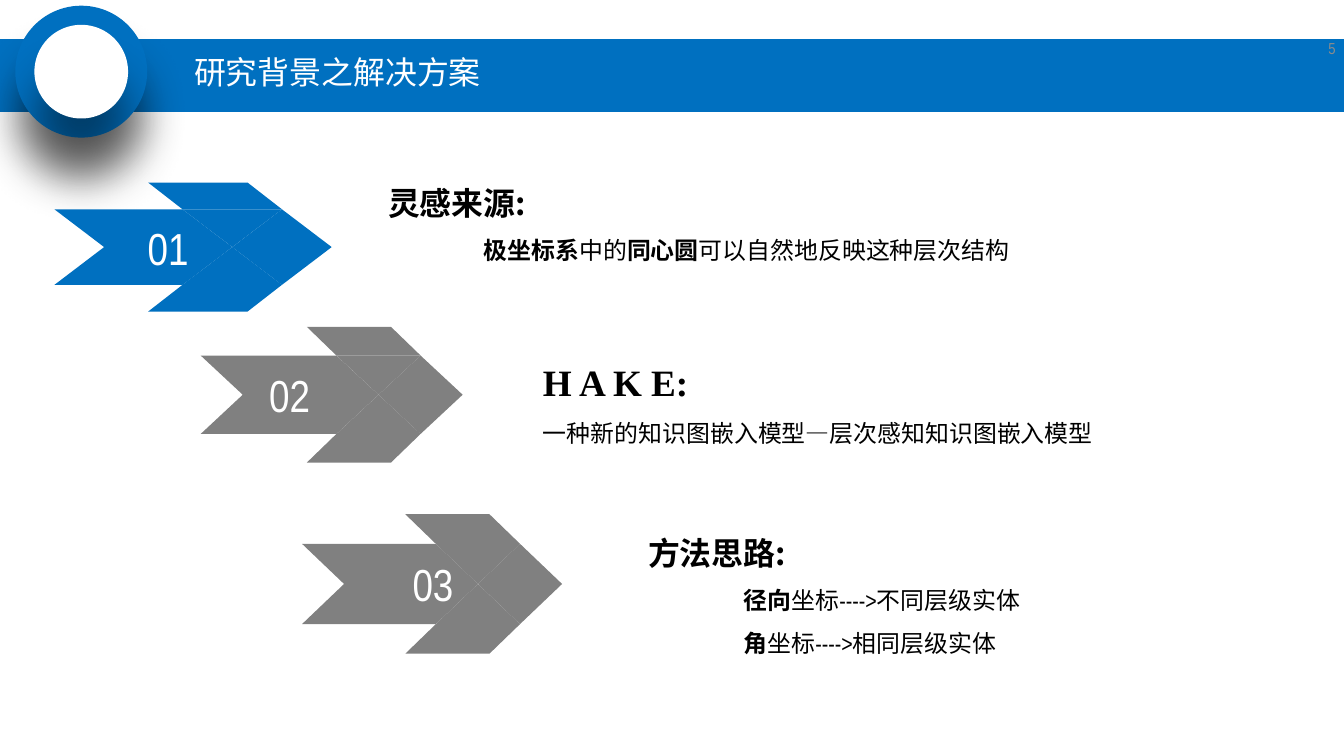
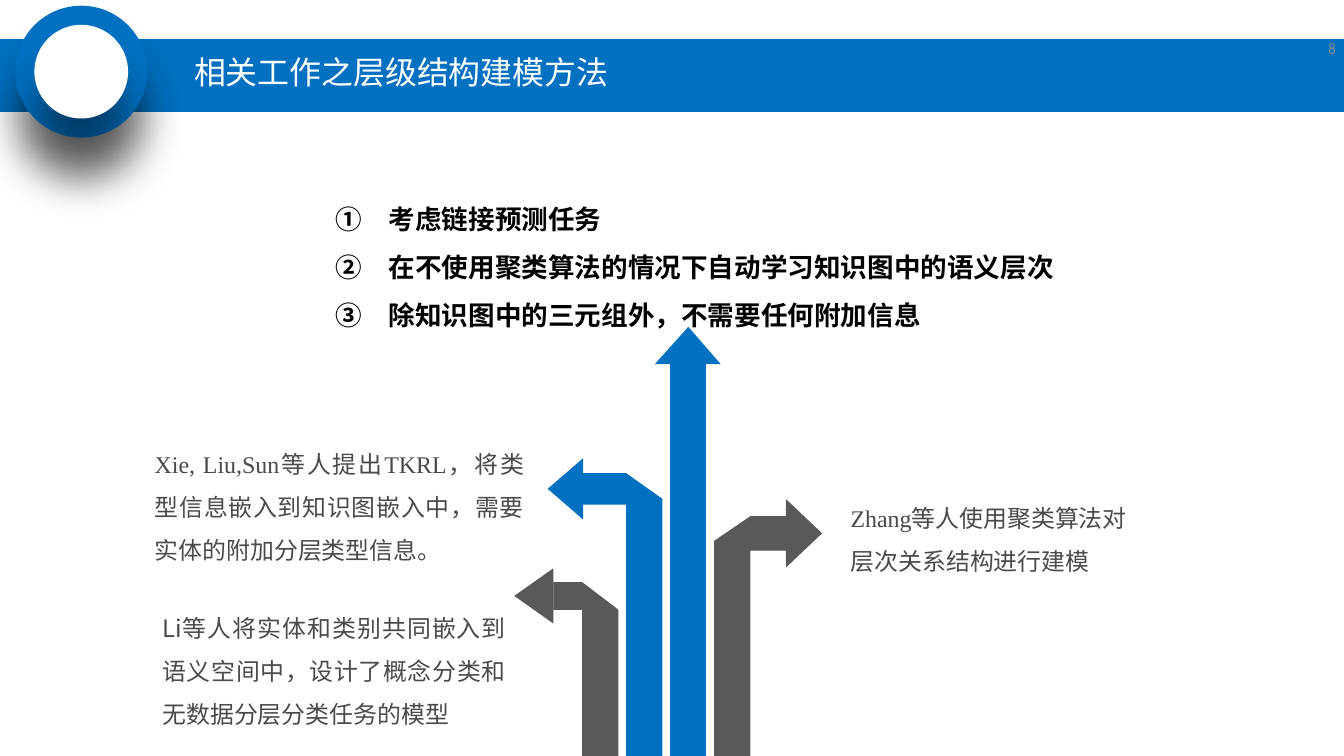
from dataclasses import dataclass

from lxml.etree import SubElement
from pptx import Presentation
from pptx.dml.color import RGBColor
from pptx.enum.shapes import MSO_SHAPE
from pptx.enum.text import MSO_ANCHOR, MSO_AUTO_SIZE, PP_ALIGN
from pptx.oxml.ns import qn
from pptx.presentation import Presentation as Deck
from pptx.shapes.autoshape import Shape
from pptx.slide import Slide
from pptx.text.text import TextFrame, _Paragraph, _Run
from pptx.util import Inches, Pt

BLUE = RGBColor(0x00, 0x70, 0xC0)
WHITE = RGBColor(0xFF, 0xFF, 0xFF)
BLACK = RGBColor(0x00, 0x00, 0x00)
MID_GREY = RGBColor(0x80, 0x80, 0x80)
DARK_GREY = RGBColor(0x59, 0x59, 0x59)
TEXT_GREY = RGBColor(0x4A, 0x4A, 0x4A)
NUMBER_GREY = RGBColor(0x8C, 0x8C, 0x8C)

NARROW = "Arial Narrow"
SANS = "Noto Sans CJK SC"
SERIF = "Times New Roman"

SLIDE_WIDTH = 14.06
SLIDE_HEIGHT = 7.91

Point = tuple[float, float]
Box = tuple[float, float, float, float]
Segment = tuple[str, bool]


@dataclass(frozen=True)
class Chevron:
    label: str
    color: RGBColor
    left: float
    tip: float
    arm: float
    top: float
    bottom: float
    flap_left: float
    flap_height: float
    label_shift: float = 0


@dataclass(frozen=True)
class Line:
    segments: tuple[Segment, ...]
    size: float = 18
    font: str = SANS
    indent: float = 0


@dataclass(frozen=True)
class Topic:
    box: Box
    lines: tuple[Line, ...]


@dataclass(frozen=True)
class Branch:
    color: RGBColor
    near: float
    far: float
    shoulder: float
    top: float
    bottom: float
    head_base: float
    tip: float
    head_half: float


@dataclass(frozen=True)
class Work:
    box: Box
    text: str
    font: str = SERIF
    align: PP_ALIGN = PP_ALIGN.JUSTIFY


CHEVRONS = (
    Chevron("01", BLUE, 0.57, 3.47, 0.52, 2.19, 2.98, 1.55, 0.28, 0.52),
    Chevron("02", MID_GREY, 2.1, 4.84, 0.44, 3.72, 4.54, 3.21, 0.3),
    Chevron("03", MID_GREY, 3.16, 5.88, 0.44, 5.69, 6.53, 4.24, 0.31, 0.9),
)

TOPICS = (
    Topic((3.92, 1.67, 7.05, 1.13), (
        Line((("灵感来源:", True),), 24),
        Line((("极坐标系", True), ("中的", False), ("同心圆", True),
              ("可以自然地反映这种层次结构", False)), indent=1),
    )),
    Topic((5.54, 3.48, 6.61, 1.21), (
        Line((("H A K E:", True),), 28, SERIF),
        Line((("一种新的知识图嵌入模型—层次感知知识图嵌入模型", False),)),
    )),
    Topic((6.64, 5.33, 4.63, 1.58), (
        Line((("方法思路:", True),), 24),
        Line((("径向", True), ("坐标---->不同层级实体", False)), font=NARROW, indent=1),
        Line((("角", True), ("坐标---->相同层级实体", False)), font=NARROW, indent=1),
    )),
)

BRANCHES = (
    Branch(BLUE, 6.55, 6.93, 5.22, 4.95, 5.28, 6.1, 5.73, 0.32),
    Branch(DARK_GREY, 6.09, 6.47, 6.38, 6.09, 6.38, 5.79, 5.38, 0.29),
    Branch(DARK_GREY, 7.85, 7.47, 5.66, 5.4, 5.76, 8.22, 8.6, 0.36),
)

WORKS = (
    Work((8.8, 5.07, 3.3, 1.01), "Zhang等人使用聚类算法对层次关系结构进行建模",
         align=PP_ALIGN.LEFT),
    Work((1.6, 6.22, 3.79, 1.46),
         "Li等人将实体和类别共同嵌入到语义空间中，设计了概念分类和无数据分层分类任务的模型", SANS),
    Work((1.52, 4.51, 4.06, 1.46),
         "Xie, Liu,Sun等人提出TKRL，将类型信息嵌入到知识图嵌入中，需要实体的附加分层类型信息。"),
)

ADVANTAGES = (
    "①　考虑链接预测任务",
    "②　在不使用聚类算法的情况下自动学习知识图中的语义层次",
    "③　除知识图中的三元组外，不需要任何附加信息",
)


def style_run(run: _Run, size: float, font: str, color: RGBColor, bold: bool = False) -> None:
    run.font.size = Pt(size)
    run.font.name = font
    run.font.bold = bold
    run.font.color.rgb = color
    SubElement(run.font._element, qn("a:ea"), typeface=SANS)


def style_paragraph(paragraph: _Paragraph, spacing: float = 1.5,
                    align: PP_ALIGN = PP_ALIGN.LEFT) -> None:
    paragraph.line_spacing = spacing
    paragraph.space_before = Pt(0)
    paragraph.alignment = align


def place(shape: Shape, box: Box) -> None:
    shape.left, shape.top, shape.width, shape.height = map(Inches, box)


def add_text_frame(slide: Slide, box: Box) -> TextFrame:
    frame = slide.shapes.add_textbox(*map(Inches, box)).text_frame
    frame.word_wrap = True
    return frame


def paint(shape: Shape, color: RGBColor) -> None:
    shape.shadow.inherit = False
    shape.fill.solid()
    shape.fill.fore_color.rgb = color
    shape.line.fill.background()


def add_polygon(slide: Slide, points: list[Point], color: RGBColor) -> Shape:
    corners = [(Inches(x), Inches(y)) for x, y in points]
    builder = slide.shapes.build_freeform(*corners[0])
    builder.add_line_segments(corners[1:], close=True)
    polygon = builder.convert_to_shape()
    paint(polygon, color)
    return polygon


def cast_shadow(shape: Shape) -> None:
    effects = shape.element.spPr.find(qn("a:effectLst"))
    shadow = SubElement(effects, qn("a:outerShdw"), blurRad=str(Pt(33)),
                        dist=str(Pt(33)), dir="5400000", algn="t", rotWithShape="0")
    tint = SubElement(shadow, qn("a:srgbClr"), val=str(BLACK))
    SubElement(tint, qn("a:alpha"), val="43000")


def add_master_header(deck: Deck, slide: Slide) -> None:
    band = slide.shapes.add_shape(
        MSO_SHAPE.ROUNDED_RECTANGLE, 0, Inches(0.41), Inches(SLIDE_WIDTH), Inches(0.76))
    band.adjustments[0] = 0
    paint(band, BLUE)
    header = [band]
    for offset, diameter, color in ((0, 1.38, BLUE), (0.2, 0.98, WHITE)):
        disc = slide.shapes.add_shape(
            MSO_SHAPE.OVAL, Inches(0.16 + offset), Inches(0.06 + offset),
            Inches(diameter), Inches(diameter))
        paint(disc, color)
        cast_shadow(disc)
        header.append(disc)
    tree = deck.slide_master.element.cSld.spTree
    for index, part in enumerate(header):
        part.element.nvSpPr.cNvPr.set("id", str(100 + index))
        tree.insert(2 + index, part.element)


def set_heading(slide: Slide, heading: str, width: float, number: str) -> None:
    title = slide.shapes.title
    place(title, (1.93, 0.5, width, 0.55))
    frame = title.text_frame
    frame.text = heading
    frame.auto_size = MSO_AUTO_SIZE.NONE
    frame.vertical_anchor = MSO_ANCHOR.MIDDLE
    style_paragraph(frame.paragraphs[0], 0.9)
    style_run(frame.paragraphs[0].runs[0], 24, NARROW, WHITE)

    page = add_text_frame(slide, (13.38, 0.29, 0.69, 0.42))
    page.text = number
    page.vertical_anchor = MSO_ANCHOR.MIDDLE
    page.paragraphs[0].alignment = PP_ALIGN.RIGHT
    style_run(page.paragraphs[0].runs[0], 12, NARROW, NUMBER_GREY)


def add_chevron(slide: Slide, chevron: Chevron) -> None:
    left, tip, arm = chevron.left, chevron.tip, chevron.arm
    shoulder, centre, joint = (tip - arm * step for step in (1, 2, 3))
    middle = (chevron.top + chevron.bottom) / 2
    flap_right = chevron.flap_left + 2 * arm

    body = add_polygon(slide, [
        (left, chevron.top), (joint, chevron.top), (centre, middle),
        (joint, chevron.bottom), (left, chevron.bottom), (left + arm, middle),
    ], chevron.color)
    for edge, flap_edge in (
        (chevron.top, chevron.top - chevron.flap_height),
        (chevron.bottom, chevron.bottom + chevron.flap_height),
    ):
        add_polygon(slide, [(chevron.flap_left, flap_edge), (flap_right, flap_edge),
                            (shoulder, edge), (joint, edge)], chevron.color)
        add_polygon(slide, [(joint, edge), (shoulder, edge), (centre, middle)], chevron.color)
    add_polygon(slide, [(shoulder, chevron.top), (tip, middle),
                        (shoulder, chevron.bottom), (centre, middle)], chevron.color)

    frame = body.text_frame
    frame.text = chevron.label
    frame.margin_left = Inches(0.11 + chevron.label_shift)
    frame.margin_right = Inches(0.11)
    frame.vertical_anchor = MSO_ANCHOR.MIDDLE
    frame.paragraphs[0].alignment = PP_ALIGN.CENTER
    style_run(frame.paragraphs[0].runs[0], 33.8, NARROW, WHITE)


def add_topic(slide: Slide, topic: Topic) -> None:
    frame = add_text_frame(slide, topic.box)
    frame.margin_left = frame.margin_right = Inches(0.14)
    frame.margin_bottom = Inches(0.07)
    for index, line in enumerate(topic.lines):
        paragraph = frame.add_paragraph() if index else frame.paragraphs[0]
        style_paragraph(paragraph)
        paragraph._p.get_or_add_pPr().set("marL", str(Inches(line.indent)))
        for text, bold in line.segments:
            run = paragraph.add_run()
            run.text = text
            style_run(run, line.size, line.font, BLACK, bold)


def add_branch(slide: Slide, branch: Branch) -> None:
    middle = (branch.top + branch.bottom) / 2
    add_polygon(slide, [
        (branch.far, SLIDE_HEIGHT), (branch.far, branch.shoulder),
        (branch.near, branch.top), (branch.head_base, branch.top),
        (branch.head_base, branch.bottom), (branch.near, branch.bottom),
        (branch.near, SLIDE_HEIGHT),
    ], branch.color)
    add_polygon(slide, [(branch.tip, middle), (branch.head_base, middle - branch.head_half),
                        (branch.head_base, middle + branch.head_half)], branch.color)


def add_trunk(slide: Slide) -> None:
    add_polygon(slide, [(7.01, 3.81), (7.39, 3.81), (7.39, SLIDE_HEIGHT),
                        (7.01, SLIDE_HEIGHT)], BLUE)
    add_polygon(slide, [(7.2, 3.42), (7.54, 3.81), (6.85, 3.81)], BLUE)


def add_work(slide: Slide, work: Work) -> None:
    frame = add_text_frame(slide, work.box)
    frame.text = work.text
    style_paragraph(frame.paragraphs[0], align=work.align)
    style_run(frame.paragraphs[0].runs[0], 18, work.font, TEXT_GREY)


def fill_advantages(slide: Slide) -> None:
    body = slide.placeholders[1]
    place(body, (3.41, 1.91, 7.83, 1.61))
    frame = body.text_frame
    frame.text = "\n".join(ADVANTAGES)
    frame.auto_size = MSO_AUTO_SIZE.NONE
    for paragraph in frame.paragraphs:
        properties = paragraph._p.get_or_add_pPr()
        properties.set("marL", "0")
        properties.set("indent", "0")
        SubElement(properties, qn("a:buNone"))
        style_paragraph(paragraph)
        style_run(paragraph.runs[0], 20, SERIF, BLACK, True)


def main() -> None:
    deck = Presentation()
    deck.slide_width = Inches(SLIDE_WIDTH)
    deck.slide_height = Inches(SLIDE_HEIGHT)

    solution = deck.slides.add_slide(deck.slide_layouts[5])
    add_master_header(deck, solution)
    for chevron in CHEVRONS:
        add_chevron(solution, chevron)
    for topic in TOPICS:
        add_topic(solution, topic)
    set_heading(solution, "研究背景之解决方案", 3.47, "5")

    related = deck.slides.add_slide(deck.slide_layouts[1])
    add_trunk(related)
    for branch in BRANCHES:
        add_branch(related, branch)
    for work in WORKS:
        add_work(related, work)
    fill_advantages(related)
    set_heading(related, "相关工作之层级结构建模方法", 4.64, "8")

    deck.save("out.pptx")


if __name__ == "__main__":
    main()
